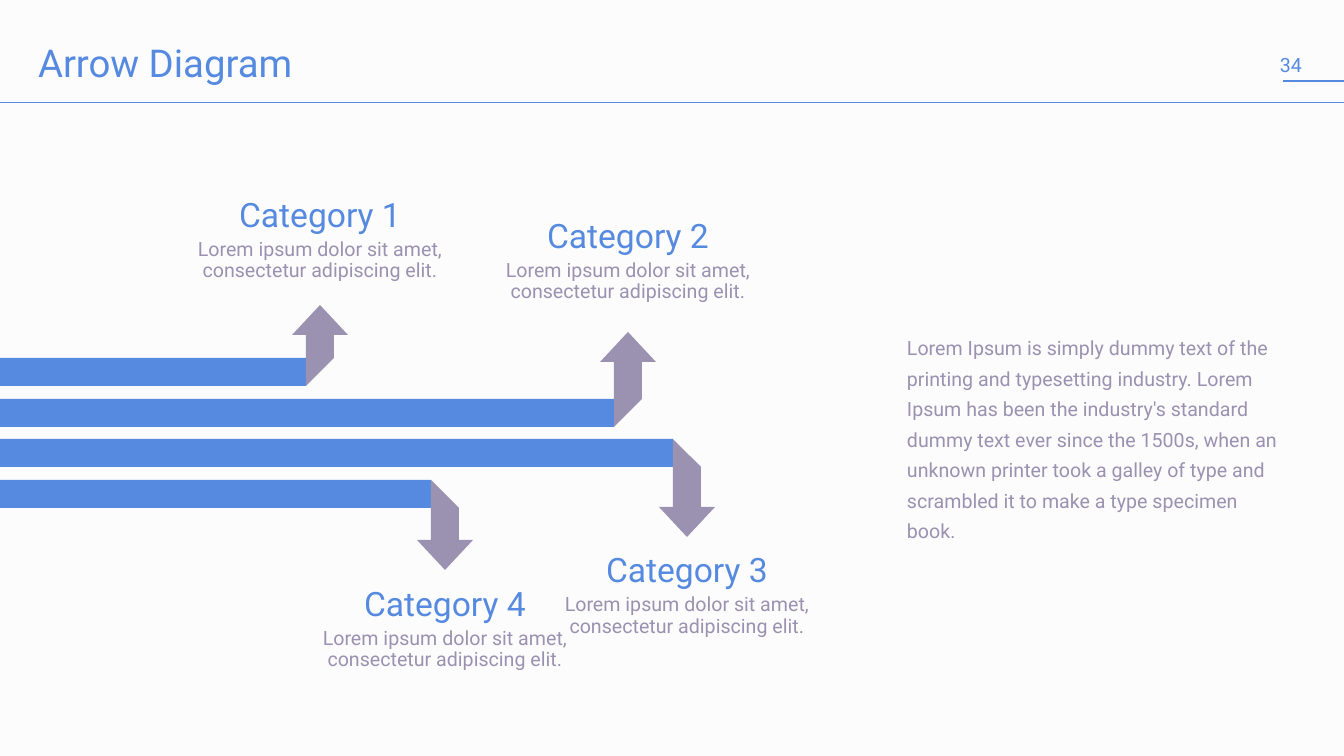
from lxml.etree import SubElement
from pptx import Presentation
from pptx.dml.color import RGBColor
from pptx.enum.shapes import MSO_CONNECTOR, MSO_SHAPE
from pptx.enum.text import MSO_ANCHOR, MSO_AUTO_SIZE, PP_ALIGN
from pptx.oxml.ns import qn
from pptx.util import Emu, Pt

BLUE = RGBColor(0x56, 0x8A, 0xE0)
MAUVE = RGBColor(0x9A, 0x92, 0xB0)
PAPER = RGBColor(0xFC, 0xFC, 0xFC)
FONT = "Roboto"
EMU_PER_PX = 914400 / 100.8
SLIDE_WIDTH, SLIDE_HEIGHT = 1344, 756

BAR_THICKNESS = 28
HEAD_WIDTH, HEAD_LENGTH = 56, 30
LABEL_WIDTH, LABEL_HEIGHT = 292, 94

CATEGORY_TEXT = "Lorem ipsum dolor sit amet, consectetur adipiscing elit."
CATEGORIES = [
    ("Category 1", 306, 305, 193),
    ("Category 2", 614, 332, 214),
    ("Category 3", 673, 537, 548),
    ("Category 4", 431, 570, 582),
]
SUMMARY = (
    "Lorem Ipsum is simply dummy text of the printing and typesetting industry. "
    "Lorem Ipsum has been the industry's standard dummy text ever since the 1500s, "
    "when an unknown printer took a galley of type and scrambled it to make a type "
    "specimen book."
)


def px(length):
    return Emu(round(length * EMU_PER_PX))


def set_frame(frame, inset, fit=MSO_AUTO_SIZE.SHAPE_TO_FIT_TEXT):
    frame.margin_left = frame.margin_right = px(inset)
    frame.margin_top = frame.margin_bottom = px(inset)
    frame.word_wrap = True
    frame.auto_size = fit


def write(paragraph, text, size, color, align=PP_ALIGN.LEFT, spacing=1.0):
    paragraph.alignment = align
    paragraph.line_spacing = spacing
    run = paragraph.add_run()
    run.text = text
    run.font.name = FONT
    run.font.size = Pt(size)
    run.font.color.rgb = color


def add_textbox(slide, box, inset):
    frame = slide.shapes.add_textbox(*map(px, box)).text_frame
    set_frame(frame, inset)
    return frame


def add_rule(slide, left, right, y, weight):
    rule = slide.shapes.add_connector(
        MSO_CONNECTOR.STRAIGHT, px(left), px(y), px(right), px(y))
    rule.line.color.rgb = BLUE
    rule.line.width = Pt(weight)
    SubElement(rule.element.spPr, qn("a:effectLst"))


def paint(shape, color):
    shape.shadow.inherit = False
    shape.fill.solid()
    shape.fill.fore_color.rgb = color
    shape.line.fill.background()


def add_polygon(slide, points, color):
    builder = slide.shapes.build_freeform(*points[0], scale=EMU_PER_PX)
    builder.add_line_segments(points[1:], close=True)
    paint(builder.convert_to_shape(), color)


def add_header(slide, left, top, width, height):
    add_rule(slide, left + 1283, left + width, top + 81, 2)
    add_rule(slide, left, left + width, top + height, 0.5)

    number = add_textbox(slide, (left + 1273, top + 46, 48, 37), 7)
    number.vertical_anchor = MSO_ANCHOR.MIDDLE
    write(number.paragraphs[0], "34", 14, BLUE)

    title = slide.shapes.title
    title.left, title.top = px(left + 33), px(top + 45)
    title.width, title.height = px(1152), px(54)
    set_frame(title.text_frame, 5, fit=MSO_AUTO_SIZE.NONE)
    title.text_frame.vertical_anchor = MSO_ANCHOR.TOP
    write(title.text_frame.paragraphs[0], "Arrow Diagram", 27.4, BLUE, spacing=0.75)


def add_arrow(slide, left, top, corner, tip):
    bar = slide.shapes.add_shape(
        MSO_SHAPE.RECTANGLE, px(left), px(top), px(corner - left), px(BAR_THICKNESS))
    paint(bar, BLUE)

    bottom = top + BAR_THICKNESS
    points_up = tip < top
    near, far = (top, bottom) if points_up else (bottom, top)
    base = tip + HEAD_LENGTH if points_up else tip - HEAD_LENGTH
    right = corner + BAR_THICKNESS
    center = corner + BAR_THICKNESS // 2
    add_polygon(
        slide, [(corner, base), (corner, far), (right, near), (right, base)], MAUVE)
    half = HEAD_WIDTH // 2
    add_polygon(
        slide, [(center, tip), (center + half, base), (center - half, base)], MAUVE)


def add_category_label(slide, center, top, name):
    label = add_textbox(
        slide, (center - LABEL_WIDTH // 2, top, LABEL_WIDTH, LABEL_HEIGHT), 5)
    write(label.paragraphs[0], name, 24, BLUE, PP_ALIGN.CENTER, 0.9)
    detail = label.add_paragraph()
    detail.space_before = Pt(4)
    write(detail, CATEGORY_TEXT, 14, MAUVE, PP_ALIGN.CENTER, 0.9)


def add_diagram(slide, left, top):
    for row, (name, corner, tip, label_top) in enumerate(CATEGORIES):
        bar_top = top + (row * 81 + 1) // 2
        add_arrow(slide, left, bar_top, left + corner, tip)
        add_category_label(slide, left + corner + BAR_THICKNESS // 2, label_top, name)


def add_summary(slide, *box):
    summary = add_textbox(slide, box, 0)
    write(summary.paragraphs[0], SUMMARY, 14, MAUVE, spacing=1.3)


def main():
    presentation = Presentation()
    presentation.slide_width = px(SLIDE_WIDTH)
    presentation.slide_height = px(SLIDE_HEIGHT)
    slide = presentation.slides.add_slide(presentation.slide_layouts[5])
    slide.background.fill.solid()
    slide.background.fill.fore_color.rgb = PAPER

    add_header(slide, 0, 0, SLIDE_WIDTH, 102)
    add_diagram(slide, 0, 358)
    add_summary(slide, 907, 329, 384, 182)
    presentation.save("out.pptx")


if __name__ == "__main__":
    main()
